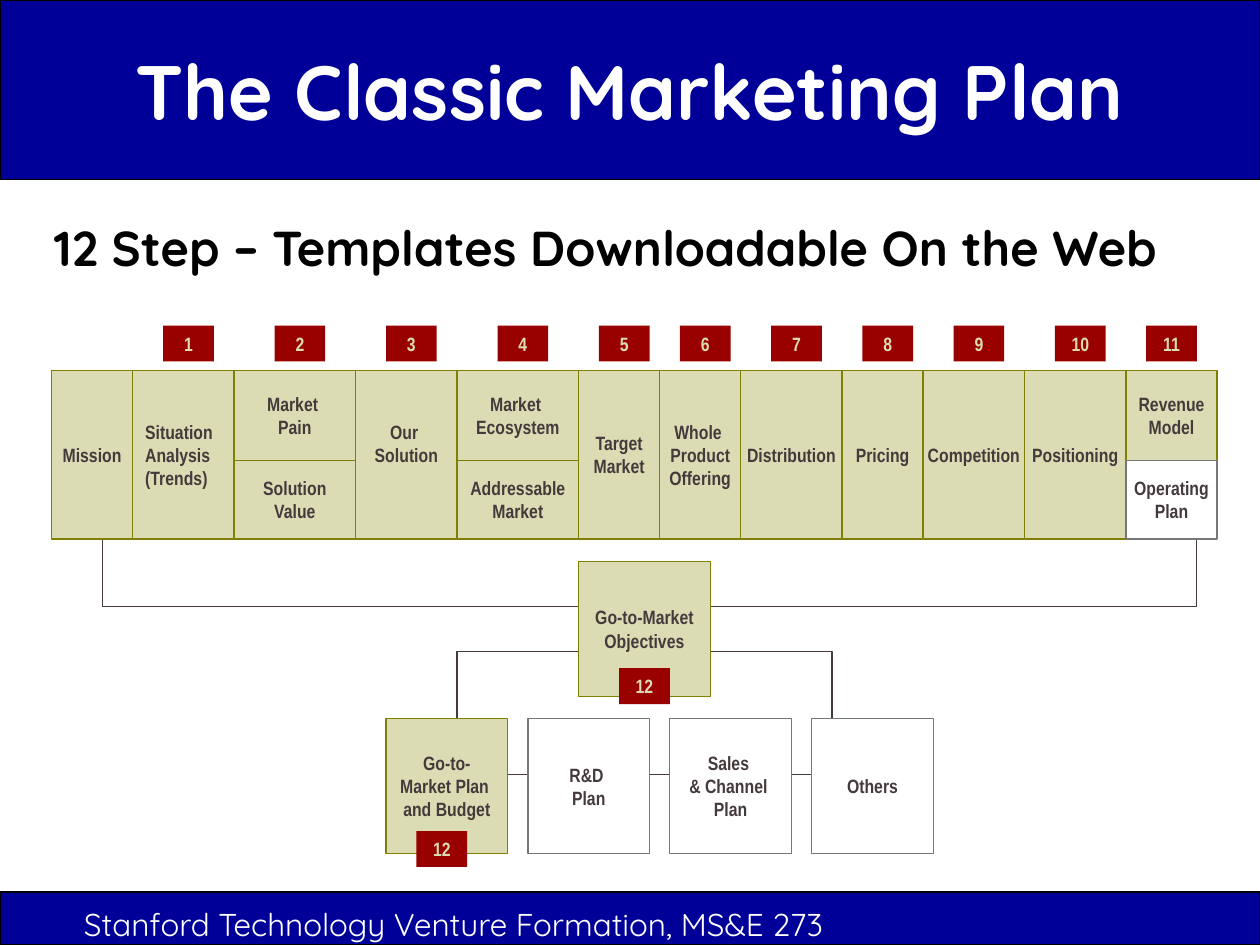
import pptx
import pptx.util
import pptx.dml.color
import pptx.enum.shapes
import pptx.enum.text

RGBColor = pptx.dml.color.RGBColor
NAVY = RGBColor(0x00, 0x00, 0x99)
BLACK = RGBColor(0x00, 0x00, 0x00)
WHITE = RGBColor(0xFF, 0xFF, 0xFF)
SAND = RGBColor(0xDB, 0xDC, 0xB4)
OLIVE = RGBColor(0x80, 0x80, 0x00)
GREY = RGBColor(0x77, 0x77, 0x77)
INK = RGBColor(0x44, 0x3A, 0x3C)
CRIMSON = RGBColor(0x99, 0x00, 0x00)

LEFT, TOP = 0.41, 2.94
COLUMN, ROW = 9.25 / 115, 1.07 / 12
FULL, UPPER, LOWER = 15, 8, 7

CENTER = pptx.enum.text.PP_ALIGN.CENTER
START = pptx.enum.text.PP_ALIGN.LEFT
MIDDLE = pptx.enum.text.MSO_ANCHOR.MIDDLE

STEPS = [
    (8, ["Mission"]),
    (10, ["Situation\nAnalysis", "(Trends)"]),
    (12, ["Market \nPain"], ["Solution\nValue"]),
    (10, ["Our ", "Solution"]),
    (12, ["Market \nEcosystem"], ["Addressable\nMarket"]),
    (8, ["Target\nMarket"]),
    (8, ["Whole \nProduct\nOffering"]),
    (10, ["Distribution"]),
    (8, ["Pricing"]),
    (10, ["Competition"]),
    (10, ["Positioning"]),
    (9, ["Revenue\nModel"], ["Operating\nPlan"]),
]
PLANS = ["Go-to-\nMarket Plan \nand Budget", "R&D \nPlan",
         "Sales \n& Channel \nPlan", "Others"]


class PlanSlide:
    heading_font = "Quicksand"
    label_font = "Arial Narrow"
    label_size = 11

    def __init__(self, deck):
        self.deck = deck
        self.slide = deck.slides.add_slide(deck.slide_layouts[5])

    def share(self, x, y, width, height):
        across, down = self.deck.slide_width, self.deck.slide_height
        return [int(part) for part in
                (x * across, y * down, width * across, height * down)]

    def cell(self, column, row, columns, rows):
        return [pptx.util.Inches(length) for length in
                (LEFT + column * COLUMN, TOP + row * ROW,
                 columns * COLUMN, rows * ROW)]

    def add_words(self, frame, paragraphs, font, size, color, bold=True, align=CENTER):
        for number, lines in enumerate(paragraphs):
            paragraph = frame.add_paragraph() if number else frame.paragraphs[0]
            paragraph.alignment = align
            for position, line in enumerate(lines.split("\n")):
                if position:
                    paragraph.add_line_break()
                run = paragraph.add_run()
                run.text = line
                run.font.name = font
                run.font.size = pptx.util.Pt(size)
                run.font.bold = bold
                run.font.color.rgb = color

    def rectangle(self, area, fill=None, line=None):
        shape = self.slide.shapes.add_shape(
            pptx.enum.shapes.MSO_SHAPE.RECTANGLE, *area)
        shape.shadow.inherit = False
        if fill is None:
            shape.fill.background()
        else:
            shape.fill.solid()
            shape.fill.fore_color.rgb = fill
        if line is None:
            shape.line.fill.background()
        else:
            shape.line.color.rgb = line
            shape.line.width = pptx.util.Pt(0.75)
        return shape

    def title(self, text):
        heading = self.slide.shapes.title
        heading.left, heading.top, heading.width, heading.height = self.share(
            0, 0.01, 1, 0.17)
        heading.element.getparent().append(heading.element)
        frame = heading.text_frame
        frame.auto_size = pptx.enum.text.MSO_AUTO_SIZE.NONE
        frame.vertical_anchor = MIDDLE
        self.add_words(frame, [text], self.heading_font, 44, WHITE)

    def caption(self, area, text, size, color, bold, anchor):
        frame = self.slide.shapes.add_textbox(*area).text_frame
        frame.word_wrap = True
        frame.vertical_anchor = anchor
        self.add_words(frame, [text], self.heading_font, size, color, bold, START)

    def box(self, area, paragraphs, active=True, align=CENTER):
        fill, line = (SAND, OLIVE) if active else (WHITE, GREY)
        frame = self.rectangle(area, fill, line).text_frame
        frame.word_wrap = False
        frame.vertical_anchor = MIDDLE
        self.add_words(frame, paragraphs, self.label_font, self.label_size, INK,
                       align=align)
        return frame

    def badge(self, column, row, number):
        frame = self.rectangle(self.cell(column, row, 5, 3.2), CRIMSON).text_frame
        frame.word_wrap = True
        frame.vertical_anchor = MIDDLE
        self.add_words(frame, [str(number)], self.label_font, self.label_size, SAND)


def main():
    deck = pptx.Presentation()
    deck.slide_width = pptx.util.Inches(10)
    deck.slide_height = pptx.util.Inches(7.5)
    plan = PlanSlide(deck)

    plan.rectangle(plan.share(0, 0.944, 1, 0.056), NAVY, BLACK)
    plan.rectangle(plan.share(0, 0, 1, 0.19), NAVY, BLACK)
    plan.caption(plan.share(0.05, 0.944, 0.84, 0.067),
                 " Stanford Technology Venture Formation, MS&E 273",
                 18, WHITE, False, MIDDLE)
    plan.title("The Classic Marketing Plan")
    plan.caption(plan.share(0.033, 0.224, 0.942, 0.076),
                 "12 Step – Templates Downloadable On the Web",
                 28, BLACK, True, pptx.enum.text.MSO_ANCHOR.TOP)

    plan.rectangle(plan.cell(40, 25, 37, 11), line=INK)
    plan.rectangle(plan.cell(5, 6, 108, FULL), line=INK)

    column = 0
    for number, (columns, label, *below) in enumerate(STEPS):
        area = plan.cell(column, 0, columns, UPPER if below else FULL)
        step = plan.box(area, label, align=START if number == 1 else CENTER)
        if label[0] == "Our ":
            step.margin_bottom = pptx.util.Inches(0.23)
        for lower in below:
            plan.box(plan.cell(column, UPPER, columns, LOWER), lower,
                     active=number < len(STEPS) - 1)
        if number:
            plan.badge(column + columns // 2 - 2, -4, number)
        column += columns

    plan.box(plan.cell(52, 17, 13, 12), ["Go-to-Market\nObjectives"])
    for number, label in enumerate(PLANS):
        plan.box(plan.cell(33 + 14 * number, 31, 12, 12), [label],
                 active=number == 0)
    plan.badge(56, 26.5, 12)
    plan.badge(36, 41, 12)

    deck.save("out.pptx")


if __name__ == "__main__":
    main()
